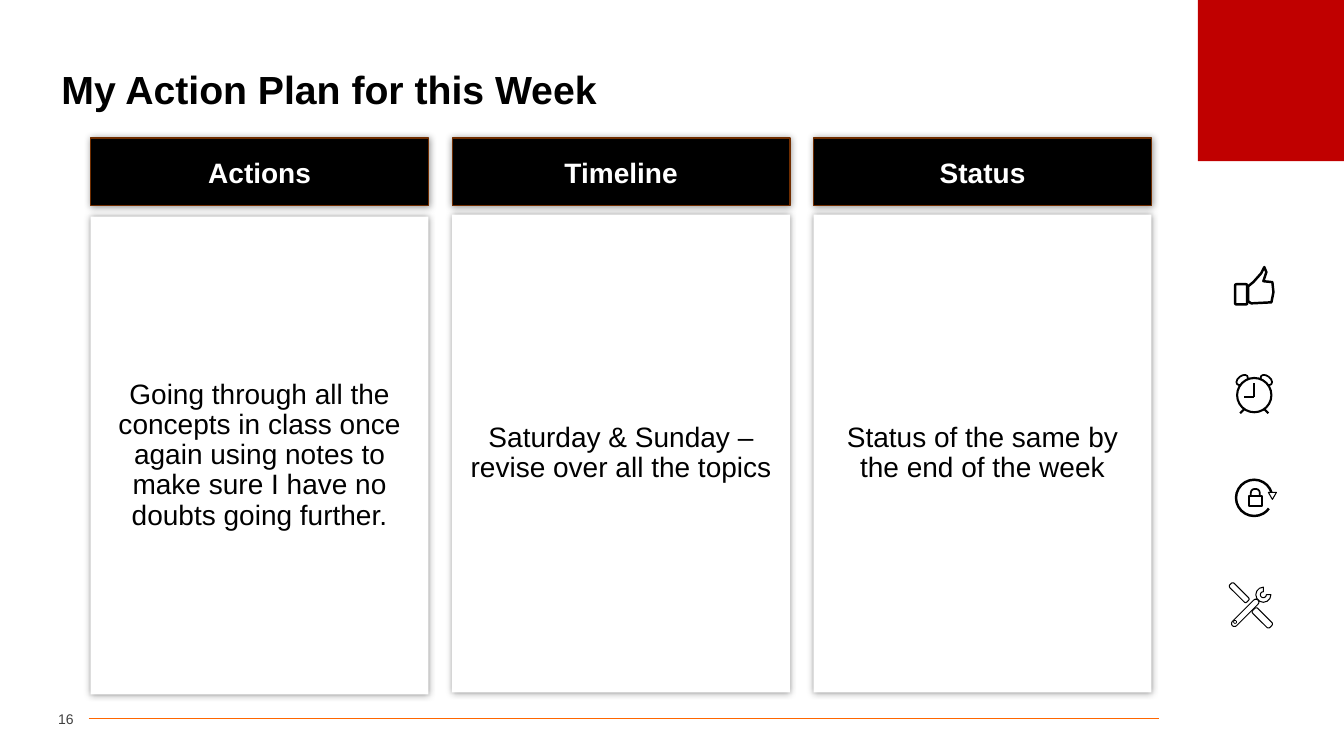
"""Build the weekly action plan slide with three columns and four icons."""
from lxml import etree
from pptx import Presentation
from pptx.dml.color import RGBColor
from pptx.enum import shapes, text
from pptx.oxml import ns
from pptx.util import Inches, Pt

COLORS = {"black": "000000", "white": "FFFFFF", "red": "C00000",
          "orange": "FF6600", "brown": "702D00", "gray": "404040"}
PRESET = shapes.MSO_SHAPE
DEGREE = 0.6


def paint(shape, fill, line=None, width=1):
    shape.shadow.inherit = False
    shape.fill.solid()
    shape.fill.fore_color.rgb = RGBColor.from_string(COLORS[fill])
    if line:
        shape.line.color.rgb = RGBColor.from_string(COLORS[line])
        shape.line.width = Pt(width)
    else:
        shape.line.fill.background()


def write(shape, words, size, color, align, bold=False):
    frame = shape.text_frame
    frame.word_wrap = True
    frame.auto_size = text.MSO_AUTO_SIZE.NONE
    frame.vertical_anchor = text.MSO_ANCHOR.MIDDLE
    frame.text = words
    paragraph = frame.paragraphs[0]
    paragraph.alignment = align
    paragraph.font.name = "Arial"
    paragraph.font.size = Pt(size)
    paragraph.font.bold = bold
    paragraph.font.color.rgb = RGBColor.from_string(COLORS[color])
    return paragraph


presentation = Presentation()
presentation.slide_width = Inches(13.33)
presentation.slide_height = Inches(7.5)
slide = presentation.slides.add_slide(presentation.slide_layouts[5])

corner = slide.shapes.add_shape(
    PRESET.RECTANGLE, Inches(11.88), 0, Inches(1.45), Inches(1.6))
paint(corner, "red")

title = slide.shapes.title
title.left, title.top = Inches(0.51), Inches(0.52)
title.width, title.height = Inches(12.31), Inches(0.78)
write(title, "My Action Plan for this Week", 28, "black",
      text.PP_ALIGN.LEFT, True).line_spacing = 0.9

page_number = slide.shapes.add_textbox(Inches(0.33), Inches(6.99), Inches(0.4), Inches(0.29))
page_number.text_frame.margin_left = page_number.text_frame.margin_right = 0
write(page_number, "16", 10, "gray", text.PP_ALIGN.RIGHT)

columns = [
    ("Actions", 2.15, "Going through all the concepts in class once again using notes "
     "to make sure I have no doubts going further."),
    ("Timeline", 2.13, "Saturday & Sunday – revise over all the topics"),
    ("Status", 2.13, "Status of the same by the end of the week"),
]
first_left, last_left = 0.9, 8.07
column_pitch = (last_left - first_left) / (len(columns) - 1)
for index, (heading, body_top, body) in enumerate(columns):
    left = first_left + index * column_pitch
    cards = [(body_top, 4.74, body, "white", None, "black"),
             (1.37, 0.67, heading, "black", "brown", "white")]
    for top, height, words, fill, line, color in cards:
        card = slide.shapes.add_shape(
            PRESET.RECTANGLE, Inches(left), Inches(top), Inches(3.35), Inches(height))
        paint(card, fill, line)
        effects = card._element.spPr.find(ns.qn("a:effectLst"))
        shadow = etree.SubElement(effects, ns.qn("a:outerShdw"), blurRad=str(Pt(5)), dist="0")
        shade = etree.SubElement(shadow, ns.qn("a:srgbClr"), val=COLORS["black"])
        etree.SubElement(shade, ns.qn("a:alpha"), val="40000")
        paragraph = write(card, words, 20, color, text.PP_ALIGN.CENTER, words == heading)
        if words == body:
            paragraph.line_spacing = 0.9
            paragraph.space_before = Pt(10)

centers = {"thumb": (12.44, 2.88), "clock": (12.44, 3.92),
           "lock": (12.44, 4.94), "tools": (12.41, 6.0)}

# Each part: preset, offset of its middle from the icon centre, size, turn, line width, adjustments.
icon_parts = {
    "thumb": [
        (PRESET.ROUNDED_RECTANGLE, (-0.13, 0.04), (0.12, 0.2), 0, 1.75, [0.1]),
    ],
    "clock": [
        (PRESET.OVAL, (-0.12, -0.15), (0.13, 0.08), -38, 1.25, []),
        (PRESET.OVAL, (0.12, -0.15), (0.13, 0.08), 38, 1.25, []),
        (PRESET.OVAL, (0, 0), (0.34, 0.34), 0, 1.5, []),
    ],
    "lock": [
        (PRESET.ARC, (0, 0), (0.36, 0.36), 0, 1.75, [36 * DEGREE, 0]),
        (PRESET.FLOWCHART_MERGE, (0.18, -0.02), (0.08, 0.07), 0, 0.75, []),
        (PRESET.ROUND_2_SAME_RECTANGLE, (0.01, -0.05), (0.09, 0.08), 0, 1.25, [0.5, 0]),
        (PRESET.RECTANGLE, (0.01, 0.03), (0.13, 0.1), 0, 1.25, []),
    ],
    "tools": [
        (PRESET.ROUNDED_RECTANGLE, (-0.12, -0.12), (0.24, 0.06), 45, 0.75, [0.3]),
        (PRESET.ROUNDED_RECTANGLE, (0.11, 0.13), (0.24, 0.07), 45, 0.75, [0.3]),
        (PRESET.BLOCK_ARC, (0.12, -0.1), (0.15, 0.15), 0, 0.75, [0, 270 * DEGREE, 0.3]),
        (PRESET.ROUNDED_RECTANGLE, (-0.06, 0.08), (0.36, 0.06), -45, 0.75, [0.5]),
        (PRESET.OVAL, (-0.16, 0.17), (0.03, 0.03), 0, 0.5, []),
    ],
}
for icon, parts in icon_parts.items():
    center_x, center_y = centers[icon]
    disc = (PRESET.OVAL, (0, 0), (0.9, 0.9), 0, None, [])
    for preset, (dx, dy), (width, height), turn, line_width, adjustments in [disc] + parts:
        part = slide.shapes.add_shape(
            preset, Inches(center_x + dx - width / 2), Inches(center_y + dy - height / 2),
            Inches(width), Inches(height))
        part.rotation = turn
        for number, value in enumerate(adjustments):
            part.adjustments[number] = value
        paint(part, "white", "black" if line_width else None, line_width)

thumb_x, thumb_y = centers["thumb"]
wrist = [(-0.06, 0.11), (-0.06, -0.04)]
raised_thumb = [(-0.01, -0.08), (0.07, -0.17), (0.1, -0.23), (0.12, -0.18), (0.09, -0.09)]
fingers = [(0.18, -0.08), (0.19, 0.02), (0.17, 0.12), (-0.03, 0.13)]
hand_points = [(Inches(thumb_x + dx), Inches(thumb_y + dy))
               for dx, dy in wrist + raised_thumb + fingers]
hand_builder = slide.shapes.build_freeform(*hand_points[0])
hand_builder.add_line_segments(hand_points[1:], close=True)
paint(hand_builder.convert_to_shape(), "white", "black", 1.75)

clock_x, clock_y = centers["clock"]
clock_lines = [((0, -0.12), (0, 0.02)), ((0, 0.02), (-0.1, 0.02))]
clock_lines += [((side * 0.1, 0.14), (side * 0.14, 0.18)) for side in (-1, 1)]
straight_lines = [((0.88, 7.13), (11.5, 7.13), "orange", 0.5)]
straight_lines += [((clock_x + x1, clock_y + y1), (clock_x + x2, clock_y + y2), "black", 1.5)
                   for (x1, y1), (x2, y2) in clock_lines]
for start, end, color, width in straight_lines:
    connector = slide.shapes.add_connector(
        shapes.MSO_CONNECTOR.STRAIGHT, *map(Inches, start + end))
    connector.line.color.rgb = RGBColor.from_string(COLORS[color])
    connector.line.width = Pt(width)
    etree.SubElement(connector._element.spPr, ns.qn("a:effectLst"))

presentation.save("out.pptx")
